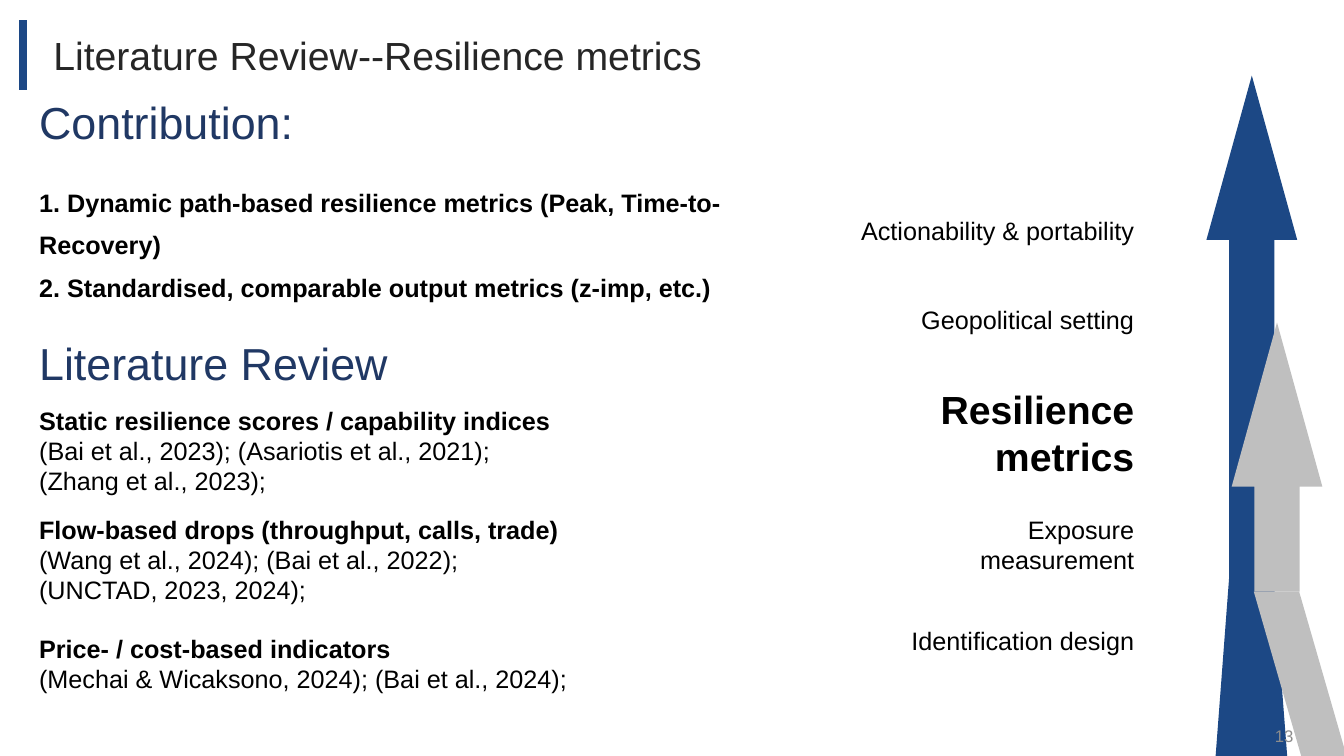
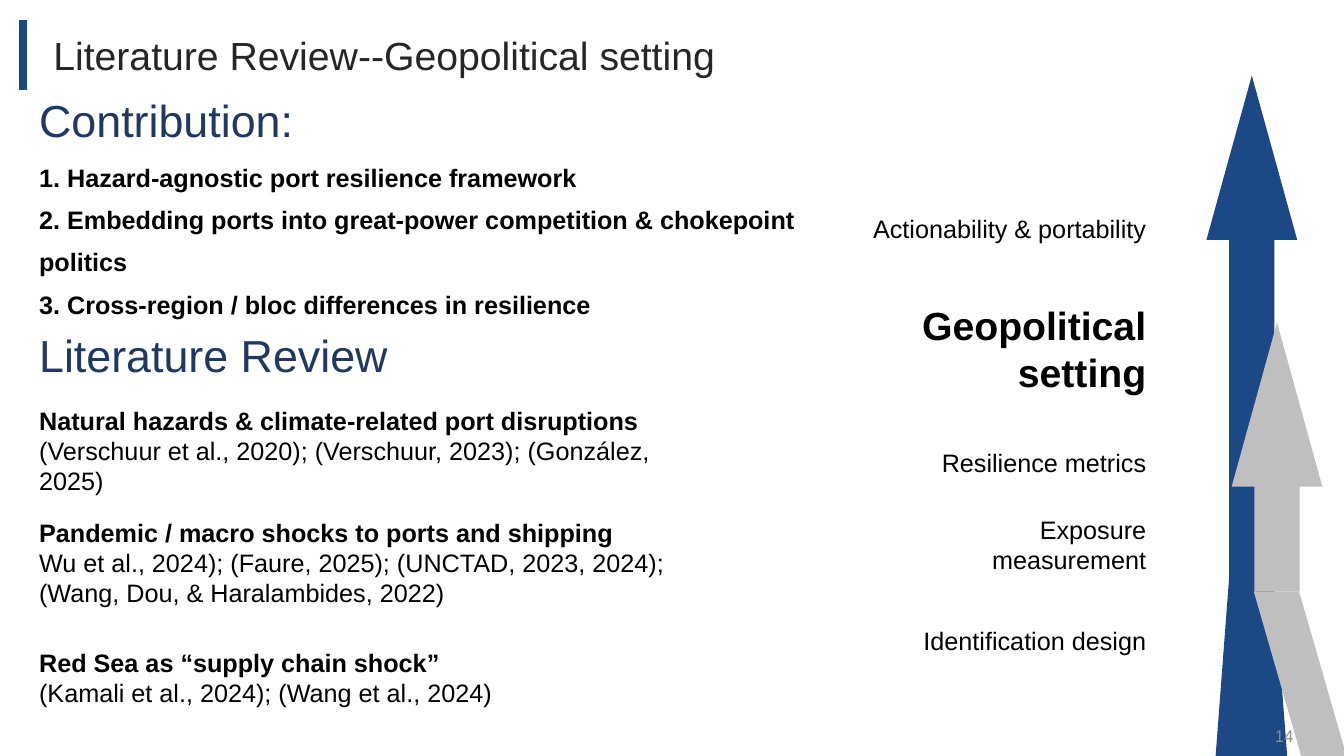
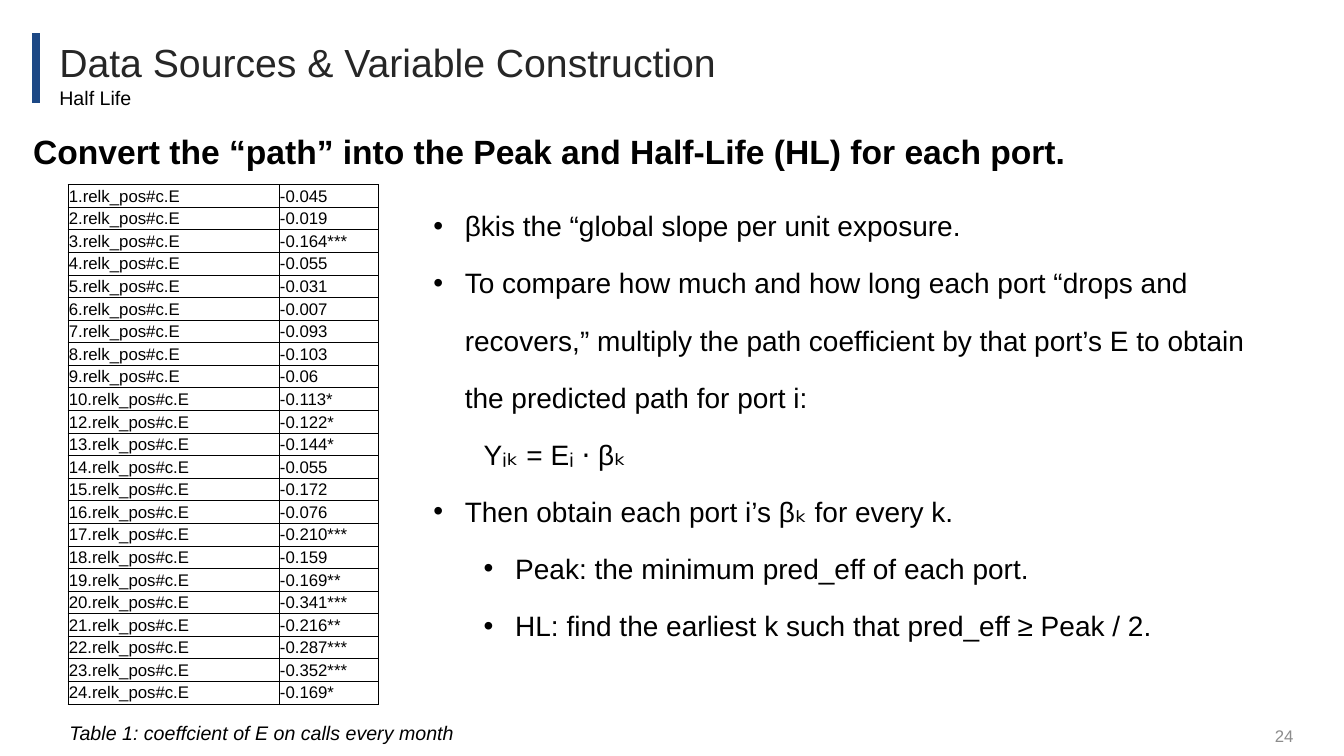
import pptx
import pptx.util
import pptx.dml.color
import pptx.enum.shapes
import pptx.enum.text
import pptx.oxml.ns
import lxml.etree

Pt = pptx.util.Pt
qn = pptx.oxml.ns.qn
SHAPE = pptx.enum.shapes.MSO_SHAPE
ALIGN = pptx.enum.text.PP_ALIGN
ANCHOR = pptx.enum.text.MSO_ANCHOR

FONT = "Arial"
BLUE, NAVY, GREY = "1C4885", "203864", "BFBFBF"
BLACK, DARK, PALE = "000000", "262626", "8C8C8C"

WIDTHS = {
    "Identification design": 176.4,
    "Exposure measurement": 198,
    "Resilience metrics": 181.4,
    "Geopolitical setting": 189.4,
    "Actionability & portability": 215.3,
}

REVIEWS = [
    {
        "page": 13,
        "topic": "Resilience metrics",
        "right": 817.2,
        "tops": [442.8, 363.6, 271.4, 213.8, 150.5],
        "heads": [64, 236.2],
        "claims": (121.7, 504, [
            "1. Dynamic path-based resilience metrics (Peak, Time-to-Recovery)",
            "2. Standardised, comparable output metrics (z-imp, etc.)",
        ]),
        "works": [
            (285.8, 459.4, "Static resilience scores / capability indices",
             "(Bai et al., 2023); (Asariotis et al., 2021); \n(Zhang et al., 2023);"),
            (363.6, 396, "Flow-based drops (throughput, calls, trade)",
             "(Wang et al., 2024); (Bai et al., 2022); (UNCTAD, 2023, 2024);"),
            (448.6, 456.5, "Price- / cost-based indicators",
             "(Mechai & Wicaksono, 2024); (Bai et al., 2024);"),
        ],
    },
    {
        "page": 14,
        "topic": "Geopolitical setting",
        "right": 825.8,
        "tops": [442.8, 363.6, 316, 211.7, 149],
        "heads": [62.6, 230.4],
        "claims": (103.7, 580.3, [
            "1. Hazard-agnostic port resilience framework",
            "2. Embedding ports into great-power competition & chokepoint politics",
            "3. Cross-region / bloc differences in resilience",
        ]),
        "works": [
            (285.8, 459.4, "Natural hazards & climate-related port disruptions",
             "(Verschuur et al., 2020); (Verschuur, 2023); (González, 2025)"),
            (365.8, 477.4, "Pandemic / macro shocks to ports and shipping",
             "Wu et al., 2024); (Faure, 2025); (UNCTAD, 2023, 2024); "
             "(Wang, Dou, & Haralambides, 2022)"),
            (458.6, 456.5, "Red Sea as “supply chain shock”",
             "(Kamali et al., 2024); (Wang et al., 2024)"),
        ],
    },
]

MONTHS = [k for k in range(1, 25) if k != 11]
COEFS = """-0.045 -0.019 -0.164*** -0.055 -0.031 -0.007 -0.093 -0.103 -0.06
-0.113* -0.122* -0.144* -0.055 -0.172 -0.076 -0.210*** -0.159 -0.169**
-0.341*** -0.216** -0.287*** -0.352*** -0.169*""".split()

STEP = {"left": 22.5, "hang": -22.5, "bullet": True}
SUB = {"left": 58.5, "hang": -22.5, "bullet": True, "level": 1}
STEPS = [
    ("βkis the “global slope per unit exposure.", STEP),
    ("To compare how much and how long each port “drops and recovers,” "
     "multiply the path coefficient by that port’s E to obtain the predicted "
     "path for port i:", STEP),
    ("Yᵢₖ = Eᵢ ⋅ βₖ", {"hang": 36}),
    ("Then obtain each port i’s βₖ for every k.", STEP),
    ("Peak: the minimum pred_eff of each port.", SUB),
    ("HL: find the earliest k such that pred_eff ≥ Peak / 2.", SUB),
]


def color(code):
    return pptx.dml.color.RGBColor.from_string(code)


def node(parent, tag, **attrs):
    return lxml.etree.SubElement(parent, qn(tag), attrs)


def write(para, words, size=18, ink=BLACK, bold=False, italic=False,
          align=None, space=None, left=0, hang=0, bullet=False, level=0):
    para.text = words
    para.alignment = align
    para.line_spacing = space
    para.level = level
    for run in para.runs:
        font = run.font
        font.name, font.size = FONT, Pt(size)
        font.bold, font.italic = bold, italic
        font.color.rgb = color(ink)
    props = para._p.get_or_add_pPr()
    props.set("marL", str(Pt(left)))
    props.set("indent", str(Pt(hang)))
    if bullet:
        node(props, "a:buFont", typeface=FONT)
        node(props, "a:buChar", char="•")


def text(slide, box, words, anchor=ANCHOR.TOP, **form):
    frame = slide.shapes.add_textbox(*map(Pt, box)).text_frame
    frame.word_wrap = True
    frame.vertical_anchor = anchor
    parts = [words] if isinstance(words, str) else words
    for i, part in enumerate(parts):
        para = frame.add_paragraph() if i else frame.paragraphs[0]
        line, extra = (part, {}) if isinstance(part, str) else part
        write(para, line, **{**form, **extra})


def paint(shape, code):
    shape.shadow.inherit = False
    shape.fill.solid()
    shape.fill.fore_color.rgb = color(code)
    shape.line.fill.background()


def head(slide, bar, box, words, **form):
    x, y = bar
    line = slide.shapes.add_connector(
        pptx.enum.shapes.MSO_CONNECTOR.STRAIGHT,
        Pt(x), Pt(y), Pt(x), Pt(y + 49.7))
    line.line.color.rgb = color(BLUE)
    line.line.width = Pt(6)
    node(line._element.spPr, "a:effectLst")
    text(slide, box, words, size=28, ink=DARK, **form)


def foot(slide, page):
    text(slide, (715, 511.2, 216, 28.8), str(page), anchor=ANCHOR.MIDDLE,
         size=12, ink=PALE, align=ALIGN.RIGHT)


def arrow(slide, x, y, high, tail, code):
    shape = slide.shapes.add_shape(
        SHAPE.UP_ARROW, Pt(x), Pt(y), Pt(64.8), Pt(high))
    shape.adjustments[0] = 0.5
    shape.adjustments[1] = 1.81
    paint(shape, code)
    dots = [(Pt(x + dx), Pt(y + dy)) for dx, dy in tail]
    pen = slide.shapes.build_freeform(*dots[0])
    pen.add_line_segments(dots[1:], close=True)
    paint(pen.convert_to_shape(), code)


def arrows(slide, x, y):
    arrow(slide, x, y, 360.7,
          [(16.5, 354.2), (47.5, 354.2), (57.6, 486), (6.5, 486)], BLUE)
    arrow(slide, x + 18, y + 176.4, 192.2,
          [(15.8, 192.2), (48.2, 192.2), (83.5, 314.6), (51.1, 314.6)], GREY)


def ladder(slide, right, tops, topic):
    for (label, wide), top in zip(WIDTHS.items(), tops):
        big = label == topic
        text(slide, (right - wide, top, wide, 74.9 if big else 28.8), label,
             size=28 if big else 18, bold=big, align=ALIGN.RIGHT)


def column(slide, x, data):
    top, wide, claims = data["claims"]
    text(slide, (x, top, wide, 35 * len(claims)), claims,
         bold=True, space=1.4)
    for top, wide, name, cites in data["works"]:
        text(slide, (x, top, wide, 72), [(name, {"bold": True}), cites])
    for top, name in zip(data["heads"], ["Contribution:", "Literature Review"]):
        text(slide, (x, top, 319.7, 46), name, size=32, ink=NAVY)


def review(slide, data):
    head(slide, (16.6, 14.4), (31, 18.7, 580, 41),
         "Literature Review--" + data["topic"])
    ladder(slide, data["right"], data["tops"], data["topic"])
    arrows(slide, 861.8, 54)
    column(slide, 20.9, data)
    foot(slide, data["page"])


def edge(cell):
    props = cell._tc.get_or_add_tcPr()
    for side in "LRTB":
        line = node(props, "a:ln" + side, w=str(Pt(0.5)))
        node(node(line, "a:solidFill"), "a:srgbClr", val=BLACK)


def grid(slide, x, y, wide, high, rows):
    table = slide.shapes.add_table(
        len(rows), 2, *map(Pt, (x, y, wide, high))).table
    table.first_row = table.horz_banding = False
    for col, part in zip(table.columns, (0.68, 0.32)):
        col.width = Pt(wide * part)
    for row, words in zip(table.rows, rows):
        row.height = Pt(high / len(rows))
        for cell, word in zip(row.cells, words):
            cell.margin_left = cell.margin_right = cell.margin_top = Pt(0.7)
            cell.margin_bottom = 0
            cell.vertical_anchor = ANCHOR.MIDDLE
            write(cell.text_frame.paragraphs[0], word, size=12)
            edge(cell)
            cell.fill.background()


def method(slide):
    head(slide, (25.9, 23.8), (35.3, 23.8, 656.6, 41),
         "Data Sources & Variable Construction", align=ALIGN.JUSTIFY)
    text(slide, (35.3, 57.6, 360.7, 24.5), "Half Life", size=14)
    text(slide, (16.6, 90, 786, 42.5),
         "Convert the “path” into the Peak and Half-Life (HL) for each port.",
         size=24, bold=True)
    rows = [(f"{k}.relk_pos#c.E", coef) for k, coef in zip(MONTHS, COEFS)]
    grid(slide, 48.5, 131.8, 221.8, 371.5, rows)
    text(slide, (302.4, 128.9, 611.3, 374.4), STEPS, size=20, space=1.7)
    text(slide, (42.5, 511.2, 319.7, 24.5),
         "Table 1: coeffcient of E on calls every month", size=14, italic=True)
    foot(slide, 24)


def main():
    deck = pptx.Presentation()
    deck.slide_width, deck.slide_height = Pt(960), Pt(540)
    blank = deck.slide_layouts[6]
    for data in REVIEWS:
        review(deck.slides.add_slide(blank), data)
    method(deck.slides.add_slide(blank))
    deck.save("out.pptx")


if __name__ == "__main__":
    main()
